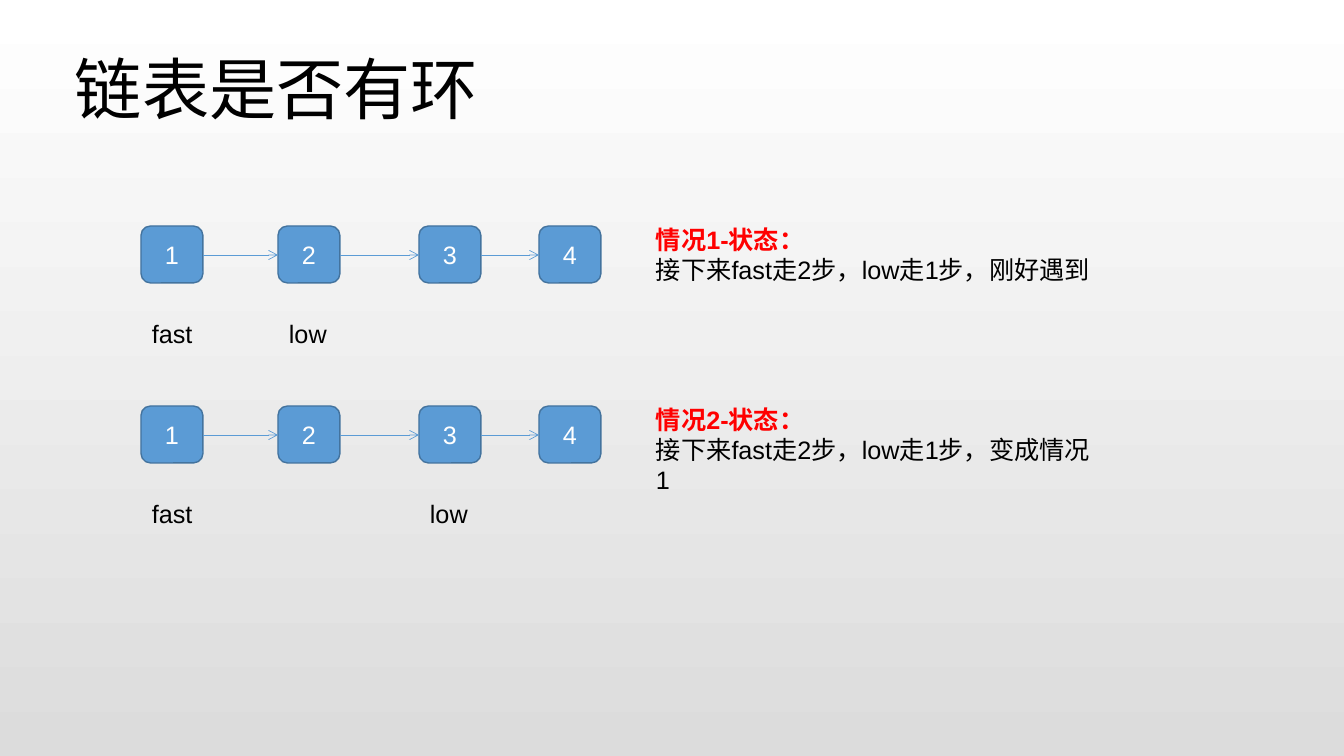
from itertools import pairwise

from pptx import Presentation
from pptx.dml.color import RGBColor
from pptx.enum.shapes import MSO_CONNECTOR as Connector, MSO_SHAPE as Shape
from pptx.enum.text import MSO_ANCHOR as Anchor, MSO_AUTO_SIZE as AutoSize, PP_ALIGN as Align
from pptx.oxml.ns import qn
from pptx.util import Pt
from lxml.etree import SubElement

# Content
TITLE = "链表是否有环"
NODES = ["1", "2", "3", "4"]
CASES = [
    {"heading": "情况1-状态：", "body": "接下来fast走2步，low走1步，刚好遇到",
     "pointers": {"fast": 0, "low": 1}},
    {"heading": "情况2-状态：", "body": "接下来fast走2步，low走1步，变成情况1",
     "pointers": {"fast": 0, "low": 2}},
]

# Colours
WHITE = RGBColor(0xFF, 0xFF, 0xFF)
GRAY = RGBColor(0xDC, 0xDC, 0xDC)
BLACK = RGBColor(0, 0, 0)
RED = RGBColor(0xFF, 0, 0)
BLUE = RGBColor(0x5B, 0x9B, 0xD5)
DARK_BLUE = RGBColor(0x43, 0x73, 0x9E)

# Text formats
TITLE_FORMAT = {"size": Pt(48), "color": BLACK}
HEADING_FORMAT = {"size": Pt(18), "color": RED, "bold": True}
BODY_FORMAT = {"size": Pt(18), "color": BLACK}
NODE_FORMAT = {"size": Pt(18), "color": WHITE}

# Layout in pixels
SCALE = 914400 / 100.8
TITLE_BOX = (64, 42, 425, 92)
NODE_LEFTS = [141, 278, 419, 539]
NODE_WIDTH, NODE_HEIGHT = 62, 57
FIRST_ROW, ROW_STEP = 226, 180
ARROW_OFFSET, POINTER_OFFSET, NOTE_OFFSET = 29, 87, -7
POINTER_WIDTHS = {"fast": 62, "low": 59}
POINTER_HEIGHT = 40
NOTE_LEFT, NOTE_WIDTH, NOTE_HEIGHT = 646, 455, 72


def emu(*pixels):
    return [round(value * SCALE) for value in pixels]


def write(frame, lines, align=Align.LEFT):
    """Put one (text, format) pair in each paragraph."""
    for index, (text, text_format) in enumerate(lines):
        paragraph = frame.add_paragraph() if index else frame.paragraphs[0]
        paragraph.alignment = align
        run = paragraph.add_run()
        run.text = text
        run.font.name = "Arial"
        for name, value in text_format.items():
            if name == "color":
                run.font.color.rgb = value
            else:
                setattr(run.font, name, value)


def add_text(box, lines, wrap=False, align=Align.LEFT):
    frame = slide.shapes.add_textbox(*emu(*box)).text_frame
    frame.word_wrap = wrap
    frame.auto_size = AutoSize.SHAPE_TO_FIT_TEXT
    write(frame, lines, align)


def add_node(left, top, label):
    node = slide.shapes.add_shape(
        Shape.ROUNDED_RECTANGLE, *emu(left, top, NODE_WIDTH, NODE_HEIGHT))
    node.shadow.inherit = False
    node.fill.solid()
    node.fill.fore_color.rgb = BLUE
    node.line.color.rgb = DARK_BLUE
    node.line.width = Pt(1)
    node.text_frame.vertical_anchor = Anchor.MIDDLE
    write(node.text_frame, [(label, NODE_FORMAT)], Align.CENTER)


def add_arrow(start, end, y):
    arrow = slide.shapes.add_connector(Connector.STRAIGHT, *emu(start, y, end, y))
    arrow.line.color.rgb = BLUE
    arrow.line.width = Pt(0.5)
    SubElement(arrow.line._get_or_add_ln(), qn("a:tailEnd"), type="arrow")
    SubElement(arrow._element.spPr, qn("a:effectLst"))


# Slide and background
presentation = Presentation()
presentation.slide_width, presentation.slide_height = emu(1344, 756)
slide = presentation.slides.add_slide(presentation.slide_layouts[6])
background = slide.background.fill
background.gradient()
background.gradient_angle = 270
for stop, color, position in zip(background.gradient_stops, (WHITE, GRAY), (0, 1)):
    stop.color.rgb = color
    stop.position = position

# Title
add_text(TITLE_BOX, [(TITLE, TITLE_FORMAT)], align=Align.CENTER)

# One row per case: list nodes, arrows, pointers and note
for row, case in enumerate(CASES):
    top = FIRST_ROW + row * ROW_STEP
    for left, label in zip(NODE_LEFTS, NODES):
        add_node(left, top, label)
    for left, following in pairwise(NODE_LEFTS):
        add_arrow(left + NODE_WIDTH, following, top + ARROW_OFFSET)
    for pointer, index in case["pointers"].items():
        add_text((NODE_LEFTS[index] + 1, top + POINTER_OFFSET,
                  POINTER_WIDTHS[pointer], POINTER_HEIGHT), [(pointer, BODY_FORMAT)])
    add_text((NOTE_LEFT, top + NOTE_OFFSET, NOTE_WIDTH, NOTE_HEIGHT),
             [(case["heading"], HEADING_FORMAT), (case["body"], BODY_FORMAT)], wrap=True)

presentation.save("out.pptx")
